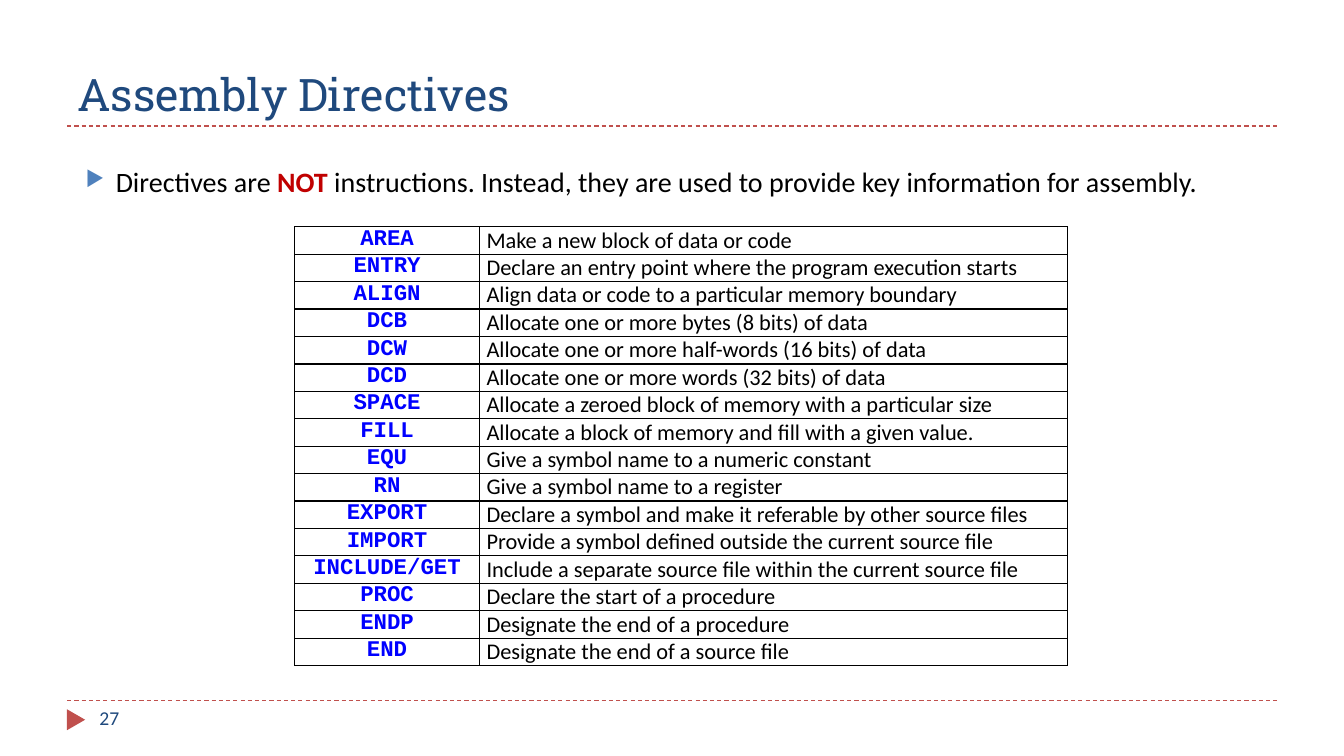
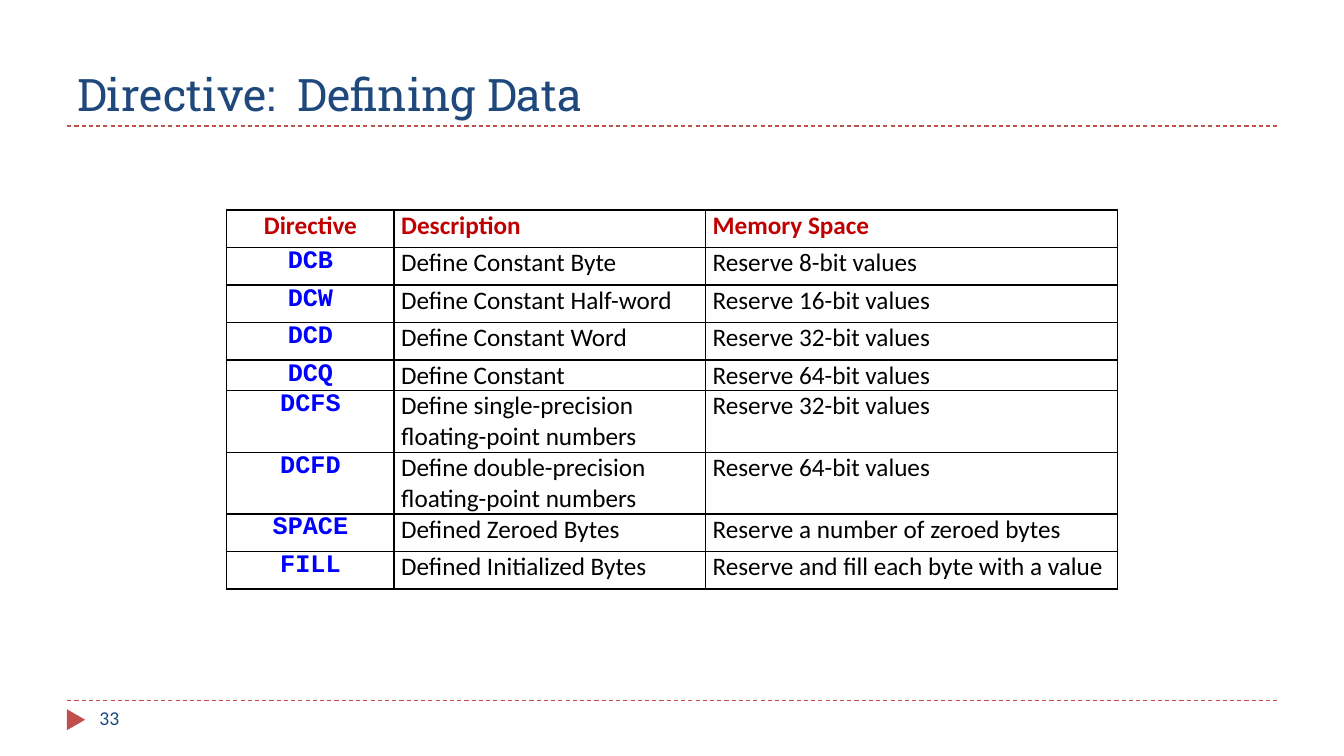
from lxml.etree import SubElement
from pptx import Presentation
from pptx.dml.color import RGBColor
from pptx.enum.dml import MSO_LINE
from pptx.enum.shapes import MSO_CONNECTOR, MSO_SHAPE
from pptx.enum.text import MSO_ANCHOR, MSO_AUTO_SIZE, PP_ALIGN
from pptx.oxml.ns import qn
from pptx.util import Pt

NAVY, RED, BRIGHT_RED = "1F497D", "C0504D", "C00000"
BLUE, BULLET_BLUE, BLACK = "0000FF", "4F81BD", "000000"
BODY_FONT, CODE_FONT, TITLE_FONT = "Calibri", "Courier New", "Roboto Slab"
SLIDE_WIDTH, SLIDE_HEIGHT, MARGIN = 960, 540, 48
TITLE_RULE, FOOTER_RULE = 90, 500.4
CELL_INSET = 5.1

DIRECTIVES = [
    ("AREA", "Make a new block of data or code"),
    ("ENTRY", "Declare an entry point where the program execution starts"),
    ("ALIGN", "Align data or code to a particular memory boundary"),
    ("DCB", "Allocate one or more bytes (8 bits) of data"),
    ("DCW", "Allocate one or more half-words (16 bits) of data"),
    ("DCD", "Allocate one or more words (32 bits) of data"),
    ("SPACE", "Allocate a zeroed block of memory with a particular size"),
    ("FILL", "Allocate a block of memory and fill with a given value."),
    ("EQU", "Give a symbol name to a numeric constant"),
    ("RN", "Give a symbol name to a register"),
    ("EXPORT", "Declare a symbol and make it referable by other source files"),
    ("IMPORT", "Provide a symbol defined outside the current source file"),
    ("INCLUDE/GET", "Include a separate source file within the current source file"),
    ("PROC", "Declare the start of a procedure"),
    ("ENDP", "Designate the end of a procedure"),
    ("END", "Designate the end of a source file"),
]

DATA_DEFINITIONS = [
    ("Directive", "Description", "Memory Space"),
    ("DCB", "Define Constant Byte", "Reserve 8-bit values"),
    ("DCW", "Define Constant Half-word", "Reserve 16-bit values"),
    ("DCD", "Define Constant Word", "Reserve 32-bit values"),
    ("DCQ", "Define Constant", "Reserve 64-bit values"),
    ("DCFS", "Define single-precision floating-point numbers", "Reserve 32-bit values"),
    ("DCFD", "Define double-precision floating-point numbers", "Reserve 64-bit values"),
    ("SPACE", "Defined Zeroed Bytes", "Reserve a number of zeroed bytes"),
    ("FILL", "Defined Initialized Bytes", "Reserve and fill each byte with a value"),
]


def color(value):
    """Turn a hex string into a colour."""
    return RGBColor.from_string(value)


def write_text(frame, *runs, size, font=BODY_FONT, fill=BLACK, bold=False,
               align=PP_ALIGN.LEFT, anchor=MSO_ANCHOR.TOP, bullet=None, indent=21.6):
    """Fill a text frame with runs, each a string or a (string, fill, bold) tuple."""
    frame.word_wrap = True
    frame.vertical_anchor = anchor
    paragraph = frame.paragraphs[0]
    paragraph.alignment = align
    if bullet:
        properties = paragraph._p.get_or_add_pPr()
        properties.set("marL", str(Pt(indent)))
        properties.set("indent", str(-Pt(indent)))
        bullet_color = SubElement(properties, qn("a:buClr"))
        SubElement(bullet_color, qn("a:srgbClr"), val=BULLET_BLUE)
        SubElement(properties, qn("a:buSzPct"), val="76000")
        SubElement(properties, qn("a:buChar"), char=bullet)
    for entry in runs:
        words, run_fill, run_bold = (entry, fill, bold) if isinstance(entry, str) else entry
        run = paragraph.add_run()
        run.text = words
        run.font.name = font
        run.font.size = Pt(size)
        run.font.bold = run_bold
        run.font.color.rgb = color(run_fill)


def add_rule(slide, top):
    """Draw a dashed rule between the side margins."""
    rule = slide.shapes.add_connector(
        MSO_CONNECTOR.STRAIGHT, Pt(MARGIN), Pt(top), Pt(SLIDE_WIDTH - MARGIN), Pt(top))
    rule.line.color.rgb = color(RED)
    rule.line.width = Pt(0.75)
    rule.line.dash_style = MSO_LINE.DASH
    SubElement(rule._element.spPr, qn("a:effectLst"))


def add_footer(slide, top, number):
    """Draw the footer rule, its marker and the page number."""
    add_rule(slide, top)
    marker = slide.shapes.add_shape(
        MSO_SHAPE.ISOSCELES_TRIANGLE, Pt(MARGIN - 1.2), Pt(top + 7.2), Pt(15), Pt(13))
    marker.rotation = 90
    marker.shadow.inherit = False
    marker.fill.solid()
    marker.fill.fore_color.rgb = color(RED)
    marker.line.fill.background()
    page = slide.shapes.add_textbox(Pt(MARGIN + 16), Pt(top), Pt(208), Pt(29))
    write_text(page.text_frame, str(number), size=14, fill=NAVY)


def add_titled_slide(deck, heading, number):
    """Add a slide with the shared title, rules and footer."""
    slide = deck.slides.add_slide(deck.slide_layouts[5])
    title = slide.shapes.title
    title.left, title.top = Pt(MARGIN), Pt(12)
    title.width, title.height = Pt(SLIDE_WIDTH - 2 * MARGIN), Pt(TITLE_RULE - 12)
    title.text_frame.auto_size = MSO_AUTO_SIZE.NONE
    write_text(title.text_frame, heading, size=32, font=TITLE_FONT, fill=NAVY,
               anchor=MSO_ANCHOR.BOTTOM)
    add_rule(slide, TITLE_RULE)
    add_footer(slide, FOOTER_RULE, number)
    return slide


def frame_cell(cell):
    """Give a cell its insets, black borders and no fill."""
    cell.margin_left = cell.margin_right = Pt(CELL_INSET)
    cell.margin_top = cell.margin_bottom = 0
    properties = cell._tc.get_or_add_tcPr()
    for side in ("lnL", "lnR", "lnT", "lnB"):
        border = SubElement(properties, qn(f"a:{side}"), w=str(Pt(1)))
        border_fill = SubElement(border, qn("a:solidFill"))
        SubElement(border_fill, qn("a:srgbClr"), val=BLACK)
    cell.fill.background()


def add_directive_table(slide, left, top, entries, widths, heights, size, header=False):
    """Add a table with directive names in code style in its first column."""
    table = slide.shapes.add_table(
        len(entries), len(widths), Pt(left), Pt(top), Pt(sum(widths)), Pt(sum(heights))).table
    table.first_row = header
    table.horz_banding = False
    for column, width in zip(table.columns, widths):
        column.width = Pt(width)
    for row_index, (entry, height) in enumerate(zip(entries, heights)):
        table.rows[row_index].height = Pt(height)
        for column_index, words in enumerate(entry):
            cell = table.cell(row_index, column_index)
            frame_cell(cell)
            is_name = column_index == 0
            style = {"align": PP_ALIGN.CENTER if is_name else PP_ALIGN.LEFT}
            if header and row_index == 0:
                style.update(fill=BRIGHT_RED, bold=True)
            elif is_name:
                style.update(font=CODE_FONT, fill=BLUE, bold=True)
            write_text(cell.text_frame, words, size=size, **style)


def add_directives_slide(deck):
    """Build the overview of assembly directives."""
    slide = add_titled_slide(deck, "Assembly Directives", 27)
    add_directive_table(slide, 210.5, 162, DIRECTIVES, widths=[132, 420],
                        heights=[19.6] * len(DIRECTIVES), size=16)
    statement = slide.shapes.add_textbox(Pt(54), Pt(114), Pt(852), Pt(36))
    write_text(statement.text_frame, "Directives are ", ("NOT", BRIGHT_RED, True),
               " instructions. Instead, they are used to provide key information for assembly.",
               size=20, bullet="▶")


def add_data_slide(deck):
    """Build the table of data definition directives."""
    slide = add_titled_slide(deck, "Directive:  Defining Data", 33)
    heights = [26.8] * 4 + [22, 44, 44] + [26.8] * 2
    add_directive_table(slide, 162, 150, DATA_DEFINITIONS, widths=[119.5, 222.5, 294],
                        heights=heights, size=18, header=True)


def main():
    """Build and save the deck."""
    deck = Presentation()
    deck.slide_width, deck.slide_height = Pt(SLIDE_WIDTH), Pt(SLIDE_HEIGHT)
    add_directives_slide(deck)
    add_data_slide(deck)
    deck.save("out.pptx")


if __name__ == "__main__":
    main()
